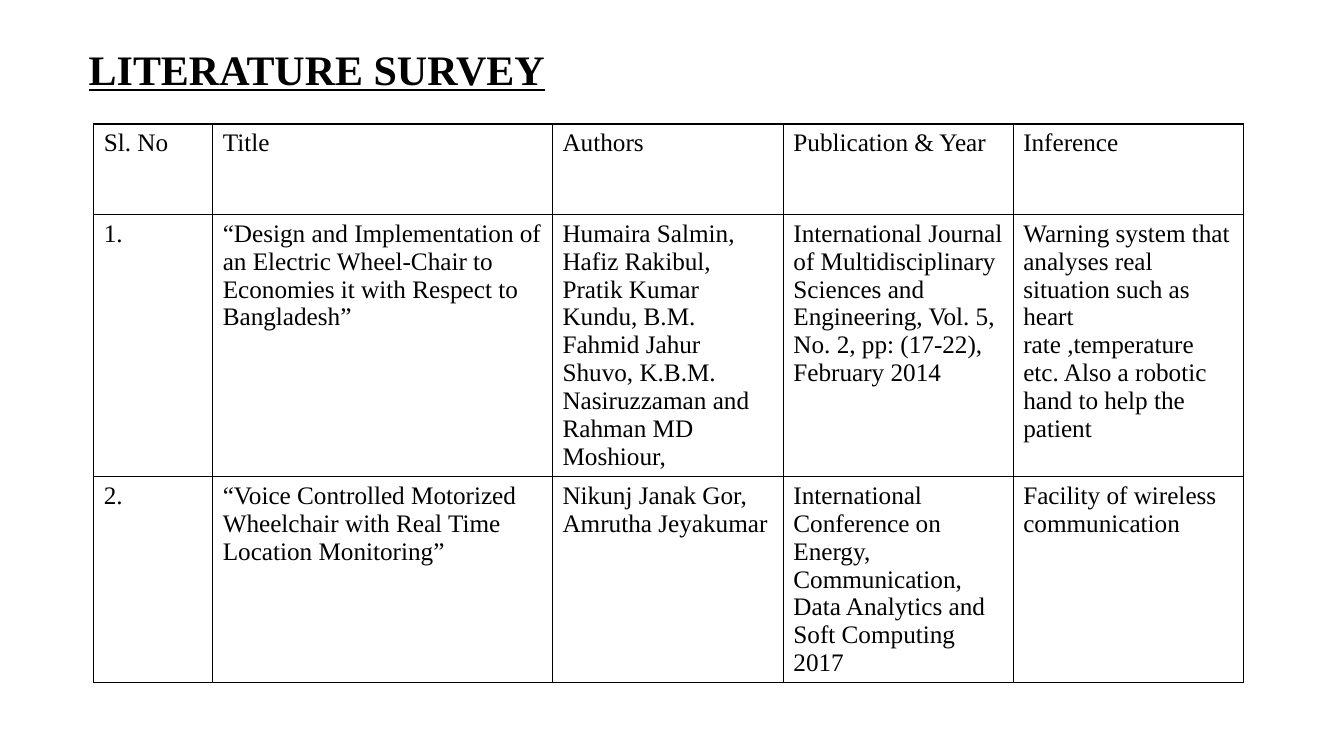
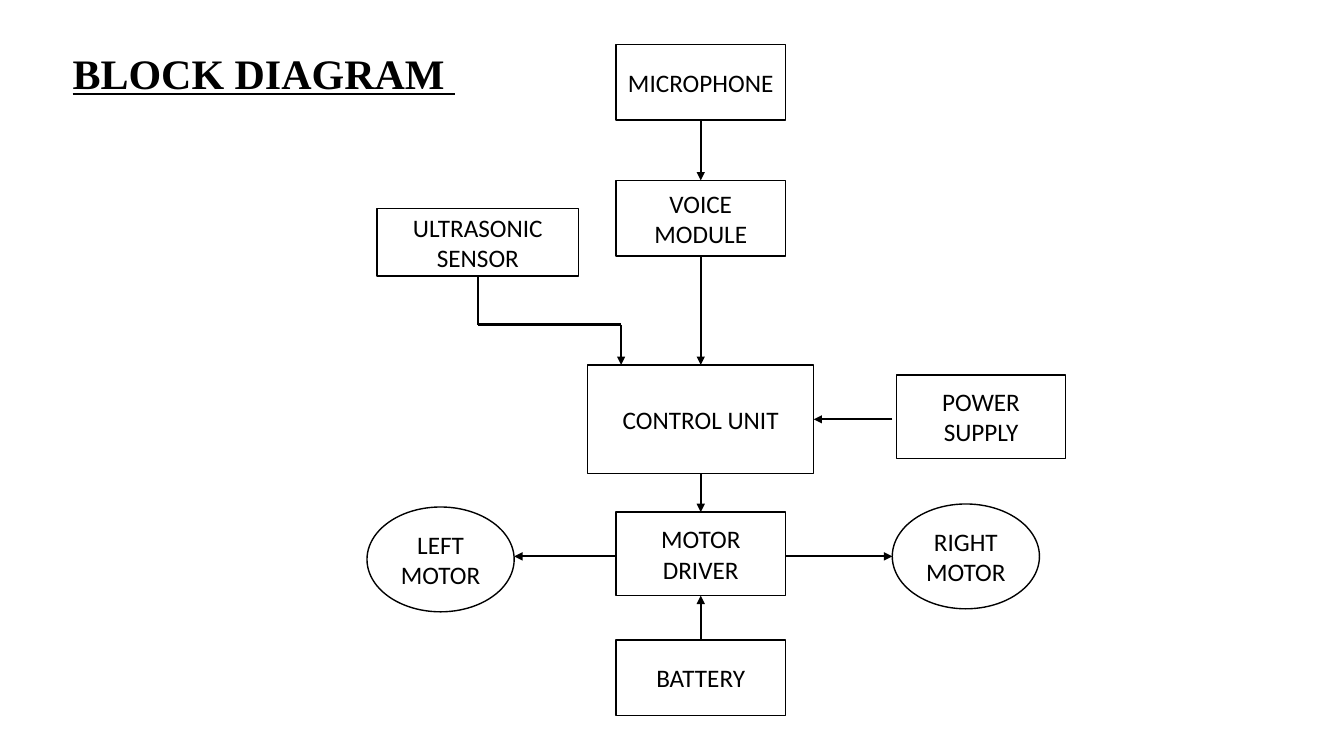
"""Build a literature survey table and a wheelchair block diagram."""
import itertools

import pptx
import pptx.dml.color
import pptx.enum.shapes
import pptx.enum.text
import pptx.oxml
import pptx.oxml.ns
import pptx.util

Inches = pptx.util.Inches
Pt = pptx.util.Pt
SHAPE = pptx.enum.shapes.MSO_SHAPE
ALIGN = pptx.enum.text.PP_ALIGN
ANCHOR = pptx.enum.text.MSO_ANCHOR

INK, PAPER = "000000", "FFFFFF"
TITLE_FONT = {"name": "Times New Roman", "size": Pt(30), "bold": True, "underline": True}
TABLE_FONT = {"name": "Times New Roman", "size": Pt(18), "bold": False}
BOX_FONT = {"name": "Calibri", "size": Pt(18)}

COLUMNS = [1.18, 3.37, 2.29, 2.28, 2.28]
ROWS = [0.9, 2.6, 2.04]
PAPERS = [
    ["Sl. No", "Title", "Authors", "Publication & Year", "Inference"],
    ["1.",
     "“Design and Implementation of an Electric Wheel-Chair to Economies it "
     "with Respect to Bangladesh”",
     "Humaira Salmin, Hafiz Rakibul, Pratik Kumar Kundu, B.M. Fahmid Jahur Shuvo, "
     "K.B.M. Nasiruzzaman and Rahman MD Moshiour,",
     "International Journal of Multidisciplinary Sciences and Engineering, Vol. 5, "
     "No. 2, pp: (17-22), February 2014",
     "Warning system that analyses real situation such as heart rate ,temperature etc. "
     "Also a robotic hand to help the patient"],
    ["2.",
     "“Voice Controlled Motorized Wheelchair with Real Time Location Monitoring”",
     "Nikunj Janak Gor, Amrutha Jeyakumar",
     "International Conference on Energy, Communication, Data Analytics and "
     "Soft Computing 2017",
     "Facility of wireless communication"],
]


def rgb(value):
    return pptx.dml.color.RGBColor.from_string(value)


def xml(tag, body=""):
    return pptx.oxml.parse_xml(f"<a:{tag} {pptx.oxml.ns.nsdecls('a')}>{body}</a:{tag.split()[0]}>")


class Deck:
    def __init__(self):
        self.prs = pptx.Presentation()
        self.prs.slide_width, self.prs.slide_height = Inches(13.33), Inches(7.5)
        self.s = None

    def add_text(self, tf, text, font, align=ALIGN.LEFT):
        tf.word_wrap = True
        p = tf.paragraphs[0]
        p.alignment = align
        r = p.add_run()
        r.text = text
        for key, value in font.items():
            setattr(r.font, key, value)
        r.font.color.rgb = rgb(INK)

    def slide(self, title, x, y, w):
        self.s = self.prs.slides.add_slide(self.prs.slide_layouts.get_by_name("Title Only"))
        sp = self.s.shapes.title
        place = {"left": x, "top": y, "width": w, "height": 0.61}
        for key, value in place.items():
            setattr(sp, key, Inches(value))
        tf = sp.text_frame
        tf.auto_size = pptx.enum.text.MSO_AUTO_SIZE.NONE
        tf.vertical_anchor = ANCHOR.TOP
        self.add_text(tf, title, TITLE_FONT)

    def table(self, x, y, widths, heights, rows):
        table = self.s.shapes.add_table(
            len(rows), len(widths), Inches(x), Inches(y),
            Inches(sum(widths)), Inches(sum(heights))).table
        table.first_row = table.horz_banding = False
        for column, width in zip(table.columns, widths):
            column.width = Inches(width)
        for row, height, texts in zip(table.rows, heights, rows):
            row.height = Inches(height)
            for cell, text in zip(row.cells, texts):
                self.add_text(cell.text_frame, text, TABLE_FONT)
                cell.fill.solid()
                cell.fill.fore_color.rgb = rgb(PAPER)
                self.border(cell)

    def border(self, cell):
        tc_pr = cell._tc.get_or_add_tcPr()
        fill = f'<a:solidFill><a:srgbClr val="{INK}"/></a:solidFill>'
        for i, side in enumerate("LRTB"):
            tc_pr.insert(i, xml(f'ln{side} w="{Pt(1)}"', fill))

    def box(self, text, x, y, w=1.68, h=0.75, kind=SHAPE.RECTANGLE):
        sp = self.s.shapes.add_shape(kind, Inches(x), Inches(y), Inches(w), Inches(h))
        sp.shadow.inherit = False
        sp.fill.solid()
        sp.fill.fore_color.rgb = rgb(PAPER)
        sp.line.color.rgb = rgb(INK)
        sp.line.width = Pt(1)
        sp.text_frame.vertical_anchor = ANCHOR.MIDDLE
        self.add_text(sp.text_frame, text, BOX_FONT, ALIGN.CENTER)
        return sp

    def line(self, start, end, arrow=True):
        c = self.s.shapes.add_connector(
            pptx.enum.shapes.MSO_CONNECTOR.STRAIGHT, *map(Inches, start + end))
        c.line.color.rgb = rgb(INK)
        c.line.width = Pt(1.5)
        if arrow:
            c._element.spPr.get_or_add_ln().append(xml('tailEnd type="triangle"'))
        c._element.spPr.append(xml("effectLst"))
        return c

    def link(self, source, target):
        down = source.top < target.top
        c = self.line((0, 0), (0, 0))
        c.begin_connect(source, 2 if down else 0)
        c.end_connect(target, 0 if down else 2)

    def route(self, *points):
        for start, end in itertools.pairwise(points):
            self.line(start, end, arrow=end == points[-1])


def main():
    deck = Deck()
    deck.slide("LITERATURE SURVEY", 0.78, 0.38, 6.67)
    deck.table(0.93, 1.23, COLUMNS, ROWS, PAPERS)

    deck.slide("BLOCK DIAGRAM ", 0.62, 0.42, 5.48)
    microphone = deck.box("MICROPHONE", 6.11, 0.44)
    voice = deck.box("VOICE MODULE", 6.11, 1.79)
    controller = deck.box("CONTROL UNIT", 5.83, 3.62, 2.24, 1.08)
    driver = deck.box("MOTOR DRIVER", 6.11, 5.08, h=0.83)
    battery = deck.box("BATTERY", 6.11, 6.35)
    deck.box("POWER SUPPLY", 8.89, 3.72, h=0.83)
    deck.box("ULTRASONIC SENSOR", 3.74, 2.07, 2, 0.67)
    deck.box("LEFT MOTOR", 3.64, 5.03, 1.46, 1.04, SHAPE.OVAL)
    deck.box("RIGHT MOTOR", 8.85, 5, 1.46, 1.04, SHAPE.OVAL)

    for source, target in [(microphone, voice), (voice, controller),
                           (controller, driver), (battery, driver)]:
        deck.link(source, target)
    deck.route((8.85, 4.16), (8.07, 4.16))
    deck.route((7.79, 5.52), (8.85, 5.52))
    deck.route((6.11, 5.52), (5.1, 5.52))
    deck.route((4.74, 2.74), (4.74, 3.22), (6.16, 3.22), (6.16, 3.62))
    deck.prs.save("out.pptx")


if __name__ == "__main__":
    main()
